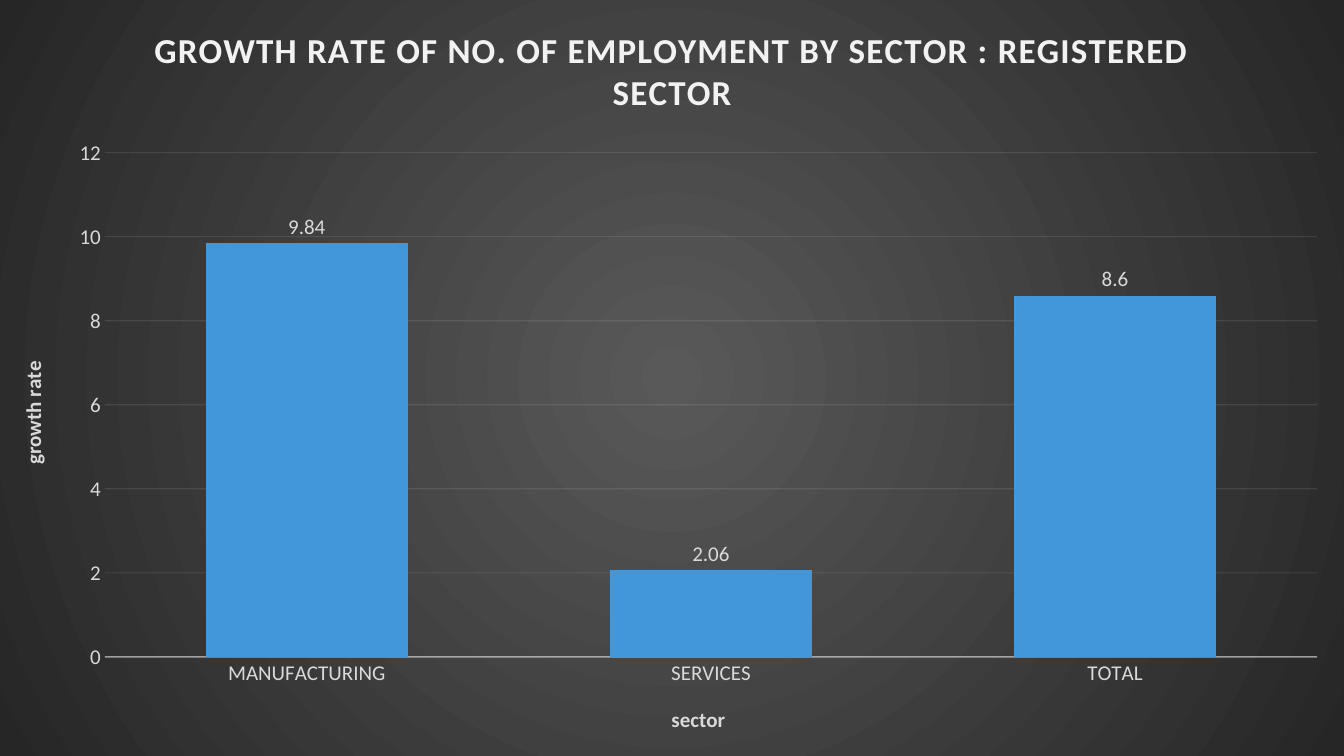
import pptx
import pptx.chart.data
import pptx.dml.color
import pptx.enum.chart
import pptx.oxml
import pptx.oxml.ns
import pptx.util

TITLE = "GROWTH RATE OF NO. OF EMPLOYMENT BY SECTOR : REGISTERED SECTOR"
GROWTH_RATES = {"MANUFACTURING": 9.84, "SERVICES": 2.06, "TOTAL": 8.6}
SECTOR_TITLE, RATE_TITLE = "sector", "growth rate"
FONT = "Calibri"
PALE, GREY, BLUE, BLACK = "F2F2F2", "D9D9D9", "4296DA", "000000"
GLOW, EDGE = "595959", "262626"
PLOT_LAYOUT = {"x": 0.078, "y": 0.202, "w": 0.902, "h": 0.667}
WIDTH, HEIGHT = pptx.util.Inches(13.33), pptx.util.Inches(7.5)
NS = pptx.oxml.ns.nsdecls("a", "c")
qn = pptx.oxml.ns.qn


def rgb(color):
    return pptx.dml.color.RGBColor.from_string(color)


def style_font(font, size, color, bold=False):
    font.name = FONT
    font.size = pptx.util.Pt(size)
    font.bold = bold
    font.color.rgb = rgb(color)


def add_title(frame, text, size, color):
    run = frame.paragraphs[0].add_run()
    run.text = text
    style_font(run.font, size, color, True)
    return run


def style_line(line, owner, width, opacity):
    line.color.rgb = rgb(PALE)
    line.width = pptx.util.Pt(width)
    for color in owner.find(qn("c:spPr")).iter(qn("a:srgbClr")):
        color.append(pptx.oxml.parse_xml(f'<a:alpha {NS} val="{opacity * 1000}"/>'))


def style_axis(axis, title):
    axis.major_tick_mark = axis.minor_tick_mark = pptx.enum.chart.XL_TICK_MARK.NONE
    style_font(axis.tick_labels.font, 15, GREY)
    add_title(axis.axis_title.text_frame, title, 15, GREY)


def fill_chart_area(chart):
    stops = "".join(
        f'<a:gs pos="{position}"><a:srgbClr val="{color}"/></a:gs>'
        for position, color in ((0, GLOW), (100000, EDGE))
    )
    area = pptx.oxml.parse_xml(
        f'<c:spPr {NS}><a:gradFill><a:gsLst>{stops}</a:gsLst><a:path path="circle">'
        '<a:fillToRect l="50000" t="50000" r="50000" b="50000"/></a:path></a:gradFill>'
        "<a:ln><a:noFill/></a:ln></c:spPr>"
    )
    chart._chartSpace.find(qn("c:chart")).addnext(area)


def place_plot(chart):
    plot_area = chart._chartSpace.find(qn("c:chart")).find(qn("c:plotArea"))
    for layout in plot_area.findall(qn("c:layout")):
        plot_area.remove(layout)
    modes = '<c:xMode val="edge"/><c:yMode val="edge"/>'
    sides = "".join(f'<c:{side} val="{part}"/>' for side, part in PLOT_LAYOUT.items())
    plot_area.insert(0, pptx.oxml.parse_xml(
        f'<c:layout {NS}><c:manualLayout><c:layoutTarget val="inner"/>'
        f"{modes}{sides}</c:manualLayout></c:layout>"
    ))


def main():
    deck = pptx.Presentation()
    deck.slide_width, deck.slide_height = WIDTH, HEIGHT
    slide = deck.slides.add_slide(deck.slide_layouts[6])
    slide.background.fill.solid()
    slide.background.fill.fore_color.rgb = rgb(BLACK)

    rates = pptx.chart.data.CategoryChartData()
    rates.categories = list(GROWTH_RATES)
    rates.add_series("Series 1", list(GROWTH_RATES.values()))
    chart = slide.shapes.add_chart(
        pptx.enum.chart.XL_CHART_TYPE.COLUMN_CLUSTERED, 0, 0, WIDTH, HEIGHT, rates
    ).chart
    style_font(chart.font, 10, "FFFFFF")
    chart.has_legend = False
    heading = add_title(chart.chart_title.text_frame, TITLE, 25, PALE)
    heading.font._element.set("spc", "100")
    chart.chart_title.include_in_layout = False

    sectors, scale = chart.category_axis, chart.value_axis
    style_axis(sectors, SECTOR_TITLE)
    style_axis(scale, RATE_TITLE)
    style_line(sectors.format.line, sectors._element, 1, 54)
    scale.format.line.fill.background()
    scale.minimum_scale, scale.maximum_scale, scale.major_unit = 0, 12, 2
    gridlines = scale.major_gridlines.format.line
    style_line(gridlines, scale._element.find(qn("c:majorGridlines")), 0.75, 10)

    columns = chart.plots[0]
    columns.gap_width, columns.overlap = 100, -24
    columns.vary_by_categories = False
    bars = columns.series[0]
    bars.format.fill.solid()
    bars.format.fill.fore_color.rgb = rgb(BLUE)
    labels = bars.data_labels
    labels.show_value = True
    labels.position = pptx.enum.chart.XL_LABEL_POSITION.OUTSIDE_END
    style_font(labels.font, 15, GREY)

    fill_chart_area(chart)
    place_plot(chart)
    deck.save("out.pptx")


if __name__ == "__main__":
    main()
